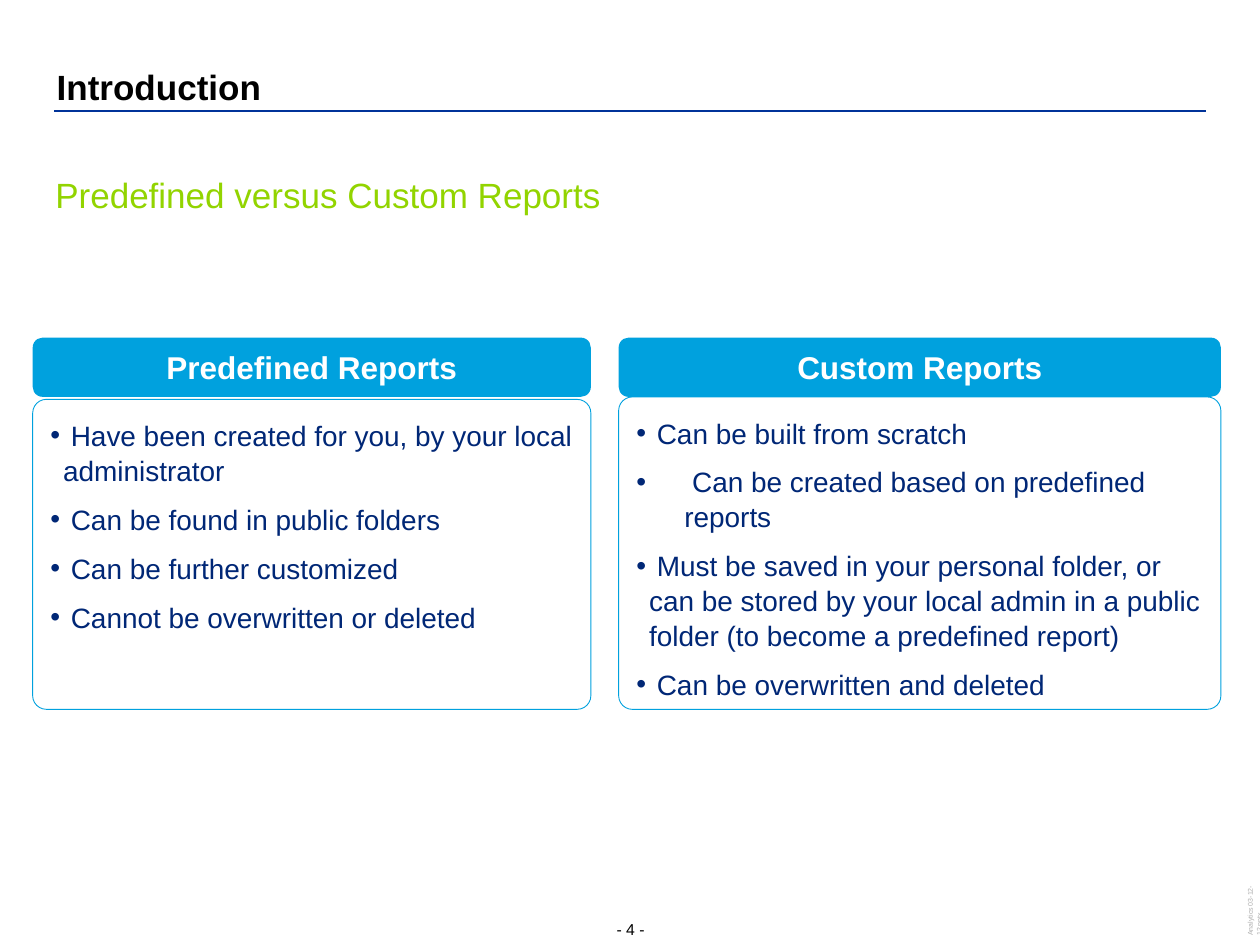
from lxml import etree
from pptx import Presentation
from pptx import util as u
from pptx.dml import color
from pptx.enum import shapes, text
from pptx.oxml import ns

BLUE, NAVY, GREEN, WHITE, BLACK = "00A1DE", "002776", "92D400", "FFFFFF", "000000"
PANEL_BOTTOM = 5.63
PANELS = [
    ("Predefined Reports", 0.26, 4.43, 3.17, [
        (" Have been created for you, by your local administrator", 0.1),
        (" Can be found in public folders", 0.1),
        (" Can be further customized", 0.1),
        (" Cannot be overwritten or deleted", 0.1),
    ]),
    ("Custom Reports", 4.91, 4.78, 3.15, [
        (" Can be built from scratch", 0.1),
        (" Can be created based on predefined reports", 0.38),
        (" Must be saved in your personal folder, or can be stored by your local admin "
         "in a public folder (to become a predefined report)", 0.1),
        (" Can be overwritten and deleted", 0.1),
    ]),
]


def rgb(value):
    return color.RGBColor.from_string(value)


def write(paragraph, content, size=16, ink=BLACK, bold=False, align=text.PP_ALIGN.LEFT,
          spacing=None, before=None, indent=None):
    run = paragraph.add_run()
    run.text = content
    run.font.name, run.font.size, run.font.bold = "Arial", u.Pt(size), bold
    run.font.color.rgb = rgb(ink)
    paragraph.alignment = align
    if spacing:
        paragraph.line_spacing = spacing
    if before:
        paragraph.space_before = u.Pt(before)
    if indent:
        properties = paragraph._p.get_or_add_pPr()
        properties.set("marL", str(u.Inches(indent)))
        properties.set("indent", str(-u.Inches(indent)))
        etree.SubElement(properties, ns.qn("a:buFont"), typeface="Arial")
        etree.SubElement(properties, ns.qn("a:buChar"), char="•")


class SlideBuilder:
    """Draws styled elements on the current slide."""

    def __init__(self, slide):
        self.slide = slide

    def frame(self, shape, inset, anchor, wrap=True):
        frame = shape.text_frame
        frame.word_wrap, frame.vertical_anchor = wrap, anchor
        frame.margin_left = frame.margin_right = u.Inches(inset[0])
        frame.margin_top = frame.margin_bottom = u.Inches(inset[1])
        return frame

    def label(self, content, box, inset=(0, 0), anchor=text.MSO_ANCHOR.TOP, wrap=True,
              rotation=0, **style):
        shape = self.slide.shapes.add_textbox(*map(u.Inches, box))
        shape.rotation = rotation
        frame = self.frame(shape, inset, anchor, wrap)
        write(frame.paragraphs[0], content, **style)

    def rule(self, left, right, top, ink, width):
        line = self.slide.shapes.add_connector(
            shapes.MSO_CONNECTOR.STRAIGHT, u.Inches(left), u.Inches(top),
            u.Inches(right), u.Inches(top))
        line.line.color.rgb, line.line.width = rgb(ink), u.Pt(width)
        etree.SubElement(line._element.spPr, ns.qn("a:effectLst"))

    def rounded(self, box, radius, fill, outline=None):
        shape = self.slide.shapes.add_shape(
            shapes.MSO_SHAPE.ROUNDED_RECTANGLE, *map(u.Inches, box))
        shape.shadow.inherit = False
        shape.adjustments[0] = radius
        shape.fill.solid()
        shape.fill.fore_color.rgb = rgb(fill)
        if outline:
            shape.line.color.rgb, shape.line.width = rgb(outline), u.Pt(0.5)
        else:
            shape.line.fill.background()
        return shape

    def panel(self, heading, left, width, top, bullets):
        body = self.rounded((left, top, width, PANEL_BOTTOM - top), 0.044, WHITE, BLUE)
        frame = self.frame(body, (0.11, 0.11), text.MSO_ANCHOR.TOP)
        for index, (content, indent) in enumerate(bullets):
            paragraph = frame.add_paragraph() if index else frame.paragraphs[0]
            write(paragraph, content, ink=NAVY, spacing=1.04,
                  before=8 if index else None, indent=indent)
        header = self.rounded((left, 2.68, width, 0.47), 0.167, BLUE)
        frame = self.frame(header, (0.11, 0.06), text.MSO_ANCHOR.MIDDLE)
        write(frame.paragraphs[0], heading, size=18, ink=WHITE, bold=True,
              align=text.PP_ALIGN.CENTER)


def main():
    presentation = Presentation()
    presentation.slide_width, presentation.slide_height = u.Inches(10), u.Inches(7.5)
    builder = SlideBuilder(presentation.slides.add_slide(presentation.slide_layouts[6]))
    builder.label("- 4 -", (4.85, 7.29, 0.31, 0.16), anchor=text.MSO_ANCHOR.BOTTOM,
                  wrap=False, size=9, align=text.PP_ALIGN.CENTER, spacing=1.06)
    builder.label("Analytics 03-12-12.pptx", (9.69, 7.16, 0.46, 0.07), wrap=False,
                  rotation=270, size=4, ink="AFAFAF", spacing=1.06)
    builder.rule(0.43, 9.57, 0.88, "003399", 1.5)
    builder.label("Introduction", (0.45, 0.51, 9.11, 0.34), anchor=text.MSO_ANCHOR.BOTTOM,
                  size=20, bold=True, spacing=1.06)
    builder.label("Predefined versus Custom Reports", (0.34, 1.33, 5.02, 0.44),
                  inset=(0.1, 0.05), size=20, ink=GREEN)
    for panel in PANELS:
        builder.panel(*panel)
    presentation.save("out.pptx")


if __name__ == "__main__":
    main()
